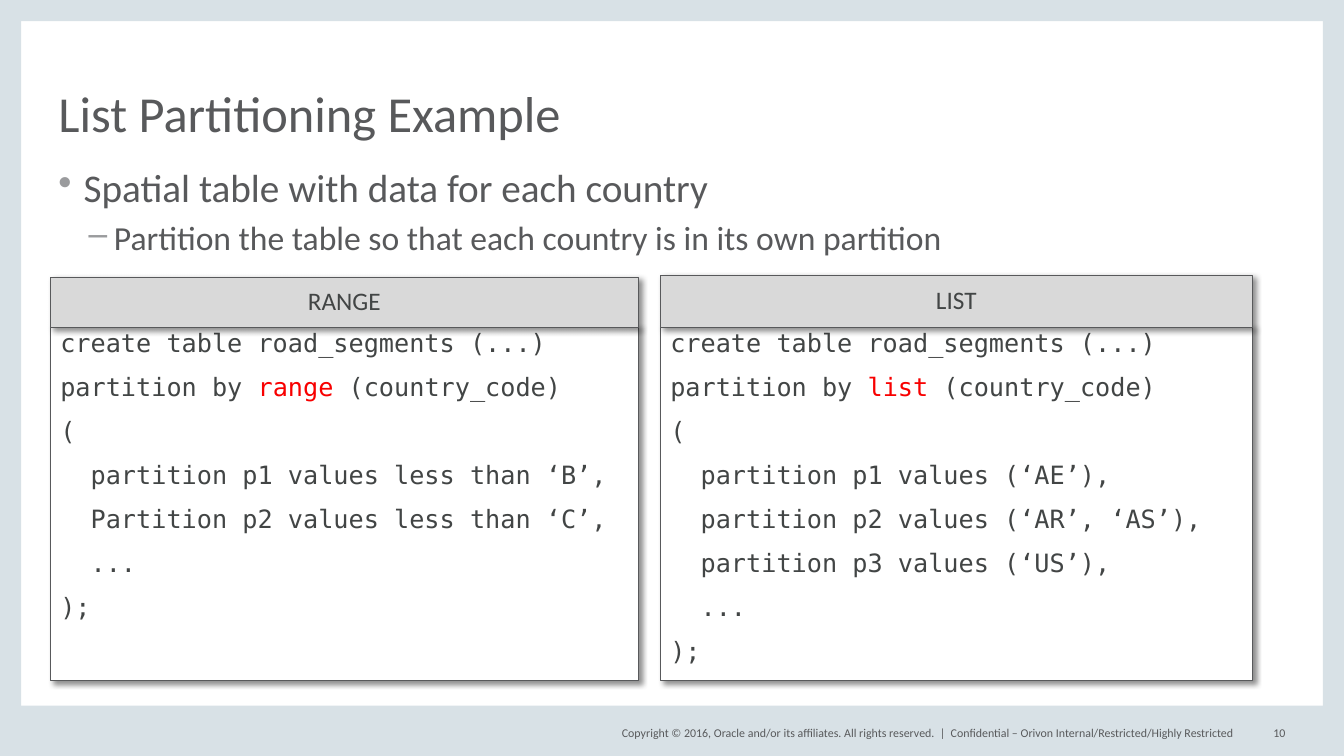
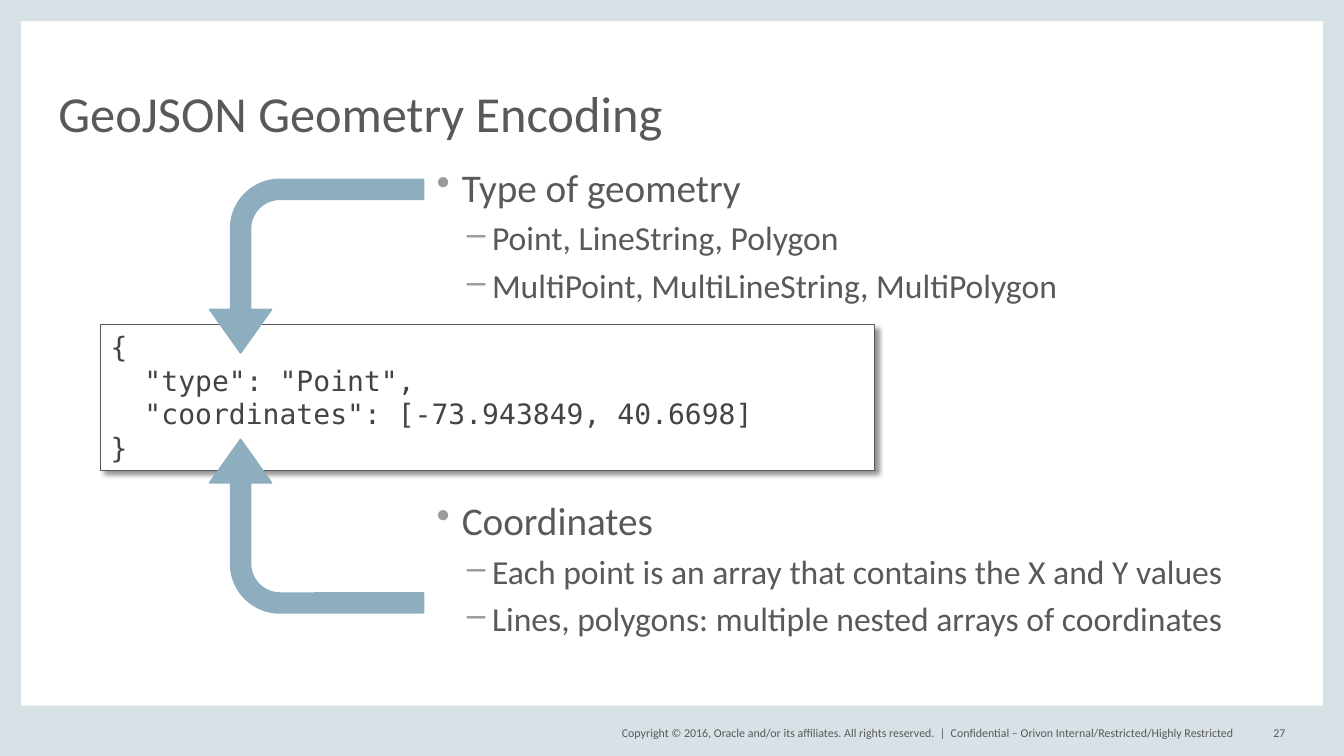
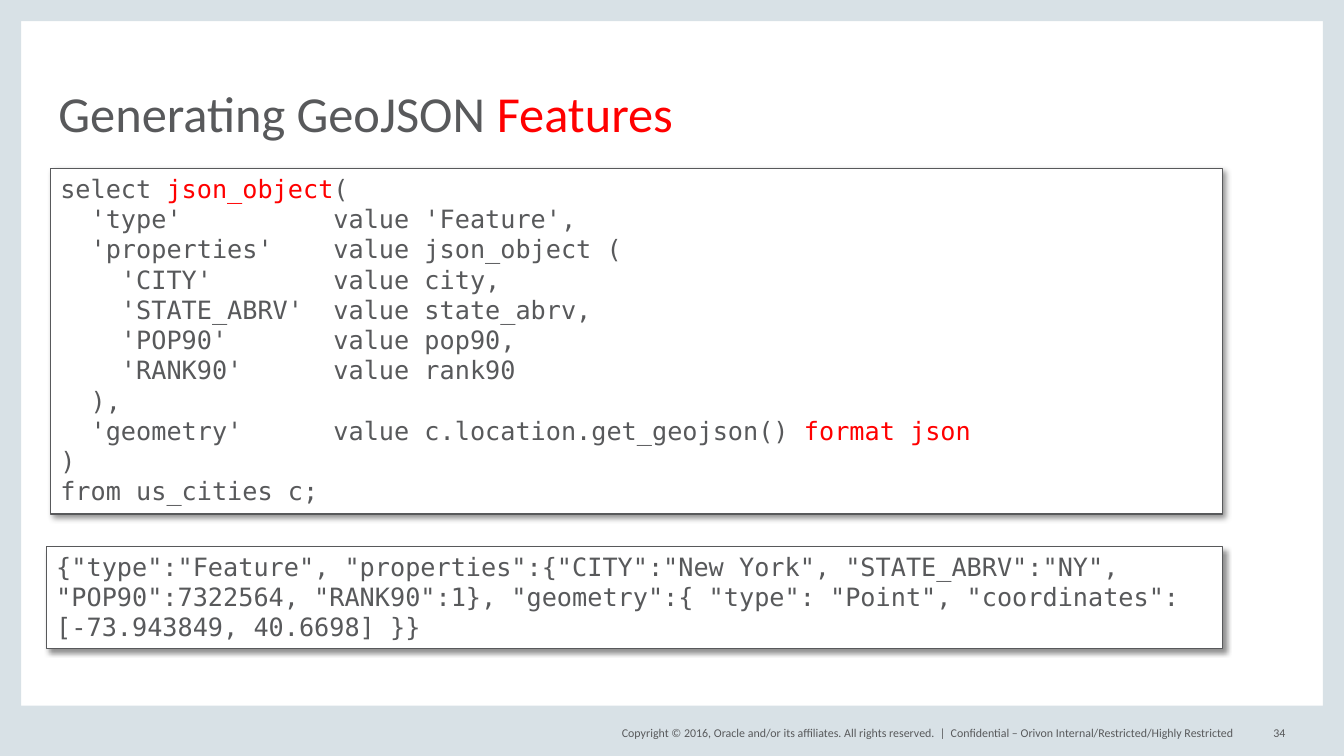
from dataclasses import dataclass

from lxml import etree
from pptx import Presentation
from pptx.dml.color import RGBColor
from pptx.enum.shapes import MSO_SHAPE
from pptx.enum.text import MSO_ANCHOR, MSO_AUTO_SIZE, PP_ALIGN
from pptx.oxml.ns import qn
from pptx.util import Emu, Pt

RECTANGLE, BENT_ARROW = MSO_SHAPE.RECTANGLE, MSO_SHAPE.BENT_ARROW
TOP, MIDDLE, BOTTOM = MSO_ANCHOR.TOP, MSO_ANCHOR.MIDDLE, MSO_ANCHOR.BOTTOM
LEFT, CENTER, RIGHT = PP_ALIGN.LEFT, PP_ALIGN.CENTER, PP_ALIGN.RIGHT
NO_AUTOFIT = MSO_AUTO_SIZE.NONE

EMU_PER_PX = 9144
PAGE_WIDTH, PAGE_HEIGHT = 1333, 750
EDGE, FOOTER_HEIGHT = 21, 50
FOOTER_TOP, FOOTER_TEXT_HEIGHT = 717, 20
MARGIN, CONTENT_TOP, CONTENT_RIGHT, BODY_HEIGHT = 58, 167, 1275, 483

SANS, MONO = "Calibri", "DejaVu Sans Mono"
GRAY, CODE_GRAY, BULLET_GRAY = "58595B", "424545", "9A9B9D"
BAND, HEADING_FILL, ARROW_BLUE = "D8E1E6", "D9D9D9", "8EADBF"
WHITE, RED, CODE_RED = "FFFFFF", "FF0000", "F80000"


@dataclass(frozen=True)
class Box:
    left: int
    top: int
    width: int
    height: int

    def emu(self):
        return [px(n) for n in (self.left, self.top, self.width, self.height)]


@dataclass(frozen=True)
class Span:
    text: str
    color: str = ""


@dataclass(frozen=True)
class Style:
    size: float
    font: str = SANS
    color: str = GRAY
    align: PP_ALIGN = LEFT
    spacing: float = 1.0
    before: float = 0


@dataclass(frozen=True)
class Bullet:
    text: str
    level: int = 0
    before: float | None = None


@dataclass(frozen=True)
class BulletStyle:
    symbol: str
    indent: int
    text: Style


@dataclass(frozen=True)
class Panel:
    box: Box
    heading_top: int
    heading: str
    lines: list


@dataclass(frozen=True)
class Arrow:
    box: Box
    rotation: int
    flipped: bool


TITLE = Style(36, spacing=0.8)
FOOTER = Style(8.5)
FOOTER_RIGHT = Style(8.5, align=RIGHT)
HEADING = Style(18, color=CODE_GRAY, align=CENTER, spacing=0.9)
PANEL_CODE = Style(18, MONO, CODE_GRAY, spacing=0.9, before=12)
GEOMETRY_CODE = Style(20, MONO, CODE_GRAY)
QUERY_CODE = Style(18, MONO)
HANGING = 25
BULLETS = [
    BulletStyle("•", 25, Style(28, spacing=0.9, before=12)),
    BulletStyle("–", 55, Style(24, spacing=0.9, before=8)),
]


def px(length: int) -> Emu:
    return Emu(length * EMU_PER_PX)


def rgb(color: str) -> RGBColor:
    return RGBColor.from_string(color)


def set_frame(frame, anchor, inset: bool) -> None:
    frame.word_wrap = True
    frame.auto_size = NO_AUTOFIT
    frame.vertical_anchor = anchor
    frame.margin_left = frame.margin_right = px(10 if inset else 0)
    frame.margin_top = frame.margin_bottom = px(5 if inset else 0)


def next_para(frame, is_first: bool):
    return frame.paragraphs[0] if is_first else frame.add_paragraph()


def write_para(para, spans: list[Span], style: Style, before: float) -> None:
    para.alignment = style.align
    para.line_spacing = style.spacing
    para.space_before = Pt(before)
    for span in spans:
        run = para.add_run()
        run.text = span.text
        run.font.name = style.font
        run.font.size = Pt(style.size)
        run.font.color.rgb = rgb(span.color or style.color)


def write_lines(frame, lines: list, style: Style) -> None:
    for index, line in enumerate(lines):
        spans = [Span(line)] if isinstance(line, str) else line
        write_para(next_para(frame, index == 0), spans, style,
                   style.before if index else 0)


def add_text(page, box: Box, text: str, style: Style):
    shape = page.shapes.add_textbox(*box.emu())
    set_frame(shape.text_frame, MIDDLE, False)
    write_lines(shape.text_frame, [text], style)
    return shape


def add_block(page, kind, box: Box, fill: str):
    shape = page.shapes.add_shape(kind, *box.emu())
    shape.shadow.inherit = False
    shape.fill.solid()
    shape.fill.fore_color.rgb = rgb(fill)
    shape.line.fill.background()
    return shape


def outline(shape, color: str, width: float) -> None:
    shape.line.color.rgb = rgb(color)
    shape.line.width = Pt(width)


def cast_shadow(shape) -> None:
    effects = shape.element.spPr.find(qn("a:effectLst"))
    shadow = etree.SubElement(
        effects, qn("a:outerShdw"), blurRad=str(Pt(4)), dist=str(Pt(3)),
        dir="2700000", algn="tl", rotWithShape="0")
    color = etree.SubElement(shadow, qn("a:srgbClr"), val="000000")
    etree.SubElement(color, qn("a:alpha"), val="43000")


def add_card(page, box: Box, lines: list, style: Style,
             fill: str = WHITE, anchor=TOP) -> None:
    card = add_block(page, RECTANGLE, box, fill)
    outline(card, GRAY, 0.75)
    cast_shadow(card)
    set_frame(card.text_frame, anchor, True)
    write_lines(card.text_frame, lines, style)


def add_panel(page, panel: Panel) -> None:
    box = panel.box
    add_card(page, box, panel.lines, PANEL_CODE)
    heading = Box(box.left, panel.heading_top, box.width,
                  box.top + 2 - panel.heading_top)
    add_card(page, heading, [panel.heading], HEADING, HEADING_FILL, MIDDLE)


def add_bullets(page, left: int, bullets: list[Bullet]) -> None:
    box = Box(left, CONTENT_TOP, CONTENT_RIGHT - left, BODY_HEIGHT)
    frame = page.shapes.add_textbox(*box.emu()).text_frame
    set_frame(frame, TOP, False)
    for index, bullet in enumerate(bullets):
        style = BULLETS[bullet.level]
        para = next_para(frame, index == 0)
        para.level = bullet.level
        props = para._p.get_or_add_pPr()
        props.set("marL", str(px(style.indent)))
        props.set("indent", str(px(-HANGING)))
        color = etree.SubElement(props, qn("a:buClr"))
        etree.SubElement(color, qn("a:srgbClr"), val=BULLET_GRAY)
        etree.SubElement(props, qn("a:buChar"), char=style.symbol)
        before = style.text.before if bullet.before is None else bullet.before
        write_para(para, [Span(bullet.text)], style.text, before if index else 0)


def add_arrow(page, arrow: Arrow) -> None:
    shape = add_block(page, BENT_ARROW, arrow.box, ARROW_BLUE)
    outline(shape, ARROW_BLUE, 1.25)
    for index, value in enumerate((0.114, 0.178, 0.25, 0.284)):
        shape.adjustments[index] = value
    shape.rotation = arrow.rotation
    if arrow.flipped:
        shape.element.spPr.find(qn("a:xfrm")).set("flipV", "1")


def decorate_layout(deck, layout) -> None:
    for holder in list(layout.placeholders)[1:]:
        layout.shapes.element.remove(holder.element)
    page = deck.slides[0]
    bands = [
        Box(0, 0, EDGE, PAGE_HEIGHT),
        Box(PAGE_WIDTH - EDGE, 0, EDGE, PAGE_HEIGHT),
        Box(0, PAGE_HEIGHT - FOOTER_HEIGHT, PAGE_WIDTH, FOOTER_HEIGHT),
        Box(0, 0, PAGE_WIDTH, EDGE),
    ]
    shapes = [add_block(page, RECTANGLE, band, BAND) for band in bands]
    shapes.append(add_text(
        page, Box(588, FOOTER_TOP, 350, FOOTER_TEXT_HEIGHT),
        "Copyright © 2016, Oracle and/or its affiliates. All rights reserved. \u00a0|"
        .replace("\u00a0", " "), FOOTER_RIGHT))
    for shape in shapes:
        layout.shapes.element.append(shape.element)


def add_page(deck, title: list[Span], number: int):
    layout = deck.slide_layouts[5]
    page = deck.slides.add_slide(layout)
    if len(deck.slides) == 1:
        decorate_layout(deck, layout)
    holder = page.shapes.title
    holder.left, holder.top, holder.width, holder.height = Box(
        MARGIN, 44, CONTENT_RIGHT - MARGIN, 97).emu()
    set_frame(holder.text_frame, BOTTOM, False)
    write_lines(holder.text_frame, [title], TITLE)
    add_text(page, Box(943, FOOTER_TOP, 300, FOOTER_TEXT_HEIGHT),
             "Confidential – Orivon Internal/Restricted/Highly Restricted", FOOTER)
    add_text(page, Box(1233, FOOTER_TOP, 42, FOOTER_TEXT_HEIGHT),
             str(number), FOOTER_RIGHT)
    return page


def partition_code(method: str, partitions: list[str]) -> list:
    return [
        "create table road_segments (...)",
        [Span("partition by "), Span(f"{method} ", CODE_RED), Span("(country_code)")],
        "(",
        *[f"  {partition}" for partition in partitions],
        "  ...",
        ");",
    ]


def build_partitioning(deck) -> None:
    page = add_page(deck, [Span("List Partitioning Example")], 10)
    add_bullets(page, MARGIN, [
        Bullet("Spatial table with data for each country"),
        Bullet("Partition the table so that each country is in its own partition", 1),
    ])
    panels = [
        Panel(Box(50, 323, 583, 352), 275, "RANGE", partition_code("range", [
            "partition p1 values less than ‘B’,",
            "Partition p2 values less than ‘C’,",
        ])),
        Panel(Box(655, 323, 587, 352), 273, "LIST", partition_code("list", [
            "partition p1 values (‘AE’),",
            "partition p2 values (‘AR’, ‘AS’),",
            "partition p3 values (‘US’),",
        ])),
    ]
    for panel in panels:
        add_panel(page, panel)


def build_encoding(deck) -> None:
    page = add_page(deck, [Span("GeoJSON Geometry Encoding")], 27)
    add_bullets(page, 433, [
        Bullet("Type of geometry"),
        Bullet("Point, LineString, Polygon", 1),
        Bullet("MultiPoint, MultiLineString, MultiPolygon", 1),
        Bullet("Coordinates", before=140),
        Bullet("Each point is an array that contains the X and Y values", 1),
        Bullet("Lines, polygons: multiple nested arrays of coordinates", 1),
    ])
    add_card(page, Box(100, 322, 767, 145), [
        "{",
        '  "type": "Point",',
        '  "coordinates": [-73.943849, 40.6698]',
        "}",
    ], GEOMETRY_CODE)
    for arrow in (Arrow(Box(228, 158, 172, 212), 90, True),
                  Arrow(Box(228, 416, 172, 212), 270, False)):
        add_arrow(page, arrow)


def build_features(deck) -> None:
    page = add_page(deck, [Span("Generating GeoJSON "), Span("Features", RED)], 34)
    add_card(page, Box(50, 167, 1163, 343), [
        [Span("select "), Span("json_object", RED), Span("(")],
        "  'type'          value 'Feature',",
        "  'properties'    value json_object (",
        "    'CITY'        value city,",
        "    'STATE_ABRV'  value state_abrv,",
        "    'POP90'       value pop90,",
        "    'RANK90'      value rank90",
        "  ),",
        [Span("  'geometry'      value c.location.get_geojson() "),
         Span("format json", RED)],
        ")",
        "from us_cities c;",
    ], QUERY_CODE)
    add_card(page, Box(46, 542, 1167, 101), [
        '{"type":"Feature", "properties":{"CITY":"New York", "STATE_ABRV":"NY", '
        '"POP90":7322564, "RANK90":1}, "geometry":{ "type": "Point", '
        '"coordinates": [-73.943849, 40.6698] }}',
    ], QUERY_CODE)


def main() -> None:
    deck = Presentation()
    deck.slide_width, deck.slide_height = px(PAGE_WIDTH), px(PAGE_HEIGHT)
    build_partitioning(deck)
    build_encoding(deck)
    build_features(deck)
    deck.save("out.pptx")


if __name__ == "__main__":
    main()
